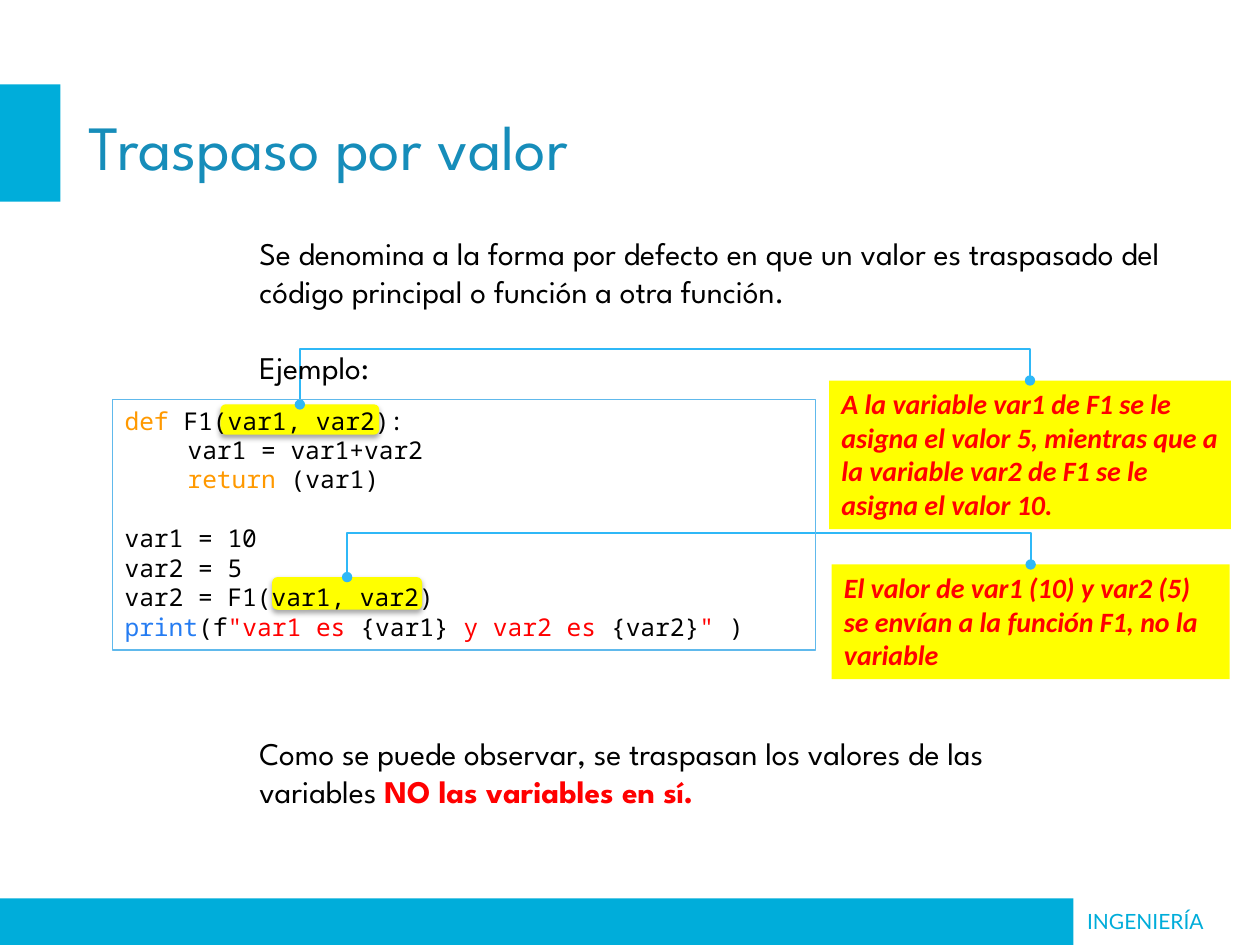
from lxml.etree import SubElement
from pptx import Presentation
from pptx.dml.color import RGBColor
from pptx.enum.shapes import MSO_CONNECTOR, MSO_SHAPE
from pptx.enum.text import MSO_ANCHOR, PP_ALIGN
from pptx.oxml import parse_xml
from pptx.oxml.ns import nsdecls, qn
from pptx.util import Inches, Pt

CYAN = RGBColor(0x00, 0xAD, 0xDA)
TEAL = RGBColor(0x16, 0x8D, 0xBA)
SKY = RGBColor(0x2F, 0xB8, 0xF7)
EDGE = RGBColor(0x60, 0xB9, 0xEC)
BLUE = RGBColor(0x25, 0x7C, 0xF2)
ORANGE = RGBColor(0xFF, 0x99, 0x00)
YELLOW = RGBColor(0xFF, 0xFF, 0x00)
RED = RGBColor(0xFF, 0x00, 0x00)
BLACK = RGBColor(0x00, 0x00, 0x00)


def add_box(kind, place, fill=None):
    shape = slide.shapes.add_shape(kind, *map(Inches, place))
    shape.shadow.inherit = False
    shape.line.fill.background()
    if fill is None:
        shape.fill.background()
    else:
        shape.fill.solid()
        shape.fill.fore_color.rgb = fill
    return shape


def write(frame, lines, font, size, anchor=MSO_ANCHOR.TOP, inset=0.05):
    """Each line is a list of (text, colour) runs."""
    frame.word_wrap = True
    frame.vertical_anchor = anchor
    frame.margin_left = frame.margin_right = Inches(0.1)
    frame.margin_top = frame.margin_bottom = Inches(inset)
    for i, line in enumerate(lines):
        para = frame.add_paragraph() if i else frame.paragraphs[0]
        para.alignment = PP_ALIGN.LEFT
        for text, color in line:
            run = para.add_run()
            run.text = text
            run.font.name = font
            run.font.size = Pt(size)
            run.font.color.rgb = color


deck = Presentation()
deck.slide_width, deck.slide_height = Inches(10), Inches(7.5)
slide = deck.slides.add_slide(deck.slide_layouts[5])

# Side and foot bands
add_box(MSO_SHAPE.RECTANGLE, (-0.02, 7.13, 8.54, 0.4), CYAN)
add_box(MSO_SHAPE.RECTANGLE, (-0.02, 0.67, 0.5, 0.93), CYAN)
foot = slide.shapes.add_textbox(*map(Inches, (8.53, 7.11, 1.47, 0.4)))
write(foot.text_frame, [[("INGENIERÍA", CYAN)]], "Lato", 12, inset=0.1)

# Title
title = slide.shapes.title
title.left, title.top, title.width, title.height = map(Inches, (0.5, 0.84, 9, 0.63))
write(title.text_frame, [[("Traspaso por valor", TEAL)]], "League Spartan", 36,
      MSO_ANCHOR.MIDDLE, 0.1)
title.text_frame.paragraphs[0]._p.get_or_add_pPr().set("marL", str(Inches(0.1)))

# Highlighted arguments, each linked to its note
notes = [
    ((2.16, 4.58, 1.19, 0.26), (6.6, 4.48, 3.16, 0.91), 4.23,
     "El valor de var1 (10) y var2 (5) se envían a la función F1, no la variable"),
    ((1.75, 3.21, 1.26, 0.24), (6.58, 3.02, 3.19, 1.18), 2.77,
     "A la variable var1 de F1 se le asigna el valor 5, mientras que a la "
     "variable var2 de F1 se le asigna el valor 10."),
]
for mark, place, peak, text in notes:
    glow = add_box(MSO_SHAPE.ROUNDED_RECTANGLE, mark, YELLOW)
    glow._element.spPr.find(qn("a:effectLst")).append(parse_xml(
        f'<a:outerShdw {nsdecls("a")} blurRad="{Pt(3.1)}" dist="{Pt(1.8)}" '
        'dir="5400000" rotWithShape="0"><a:srgbClr val="000000">'
        '<a:alpha val="35000"/></a:srgbClr></a:outerShdw>'))

    note = add_box(MSO_SHAPE.RECTANGLE, place, YELLOW)
    write(note.text_frame, [[(text, RED)]], "Calibri", 16)
    face = note.text_frame.paragraphs[0].runs[0].font
    face.bold = face.italic = True

    # Elbow from top centre to top centre, turned 270 degrees about its middle
    x1, y1 = mark[0] + mark[2] / 2, mark[1]
    x2, y2 = place[0] + place[2] / 2, place[1]
    wide, high = y1 - y2, x2 - x1
    left, top = (x1 + x2 - wide) / 2, (y1 + y2 - high) / 2
    link = slide.shapes.add_connector(
        MSO_CONNECTOR.ELBOW, Inches(left), Inches(top),
        Inches(left + wide), Inches(top + high))
    link.line.color.rgb = SKY
    link.line.width = Pt(1)
    props = link._element.spPr
    props.find(qn("a:xfrm")).set("rot", str(270 * 60000))
    bend = props.find(qn("a:prstGeom")).get_or_add_avLst()
    SubElement(bend, qn("a:gd"), name="adj1",
               fmla=f"val {round((y1 - peak) / wide * 100000)}")
    for end in ("a:headEnd", "a:tailEnd"):
        SubElement(link.line._get_or_add_ln(), qn(end), type="oval")
    SubElement(props, qn("a:effectLst"))

# Opening and closing text
intro = slide.shapes.add_textbox(*map(Inches, (1.96, 1.81, 7.79, 1.31)))
write(intro.text_frame, [
    [("Se denomina a la forma por defecto en que un valor es traspasado del "
      "código principal o función a otra función.", BLACK)],
    [("Ejemplo:", BLACK)],
], "League Spartan", 18)
intro.text_frame.paragraphs[1].space_before = Pt(21.6)

close = slide.shapes.add_textbox(*map(Inches, (1.96, 5.78, 6.25, 0.71)))
write(close.text_frame, [
    [("Como se puede observar, se traspasan los valores de las variables ", BLACK),
     ("NO las variables en sí.", RED)],
], "League Spartan", 18)
close.text_frame.paragraphs[0].runs[1].font.bold = True

# Code listing
code = add_box(MSO_SHAPE.RECTANGLE, (0.89, 3.17, 5.58, 1.99))
code.line.color.rgb = EDGE
code.line.width = Pt(0.75)
write(code.text_frame, [
    [("def ", ORANGE), ("F1(var1, var2):", BLACK)],
    [("\tvar1 = var1+var2", BLACK)],
    [("\treturn ", ORANGE), ("(var1)", BLACK)],
    [("var1 = 10", BLACK)],
    [("var2 = 5", BLACK)],
    [("var2 = F1(var1, var2)", BLACK)],
    [("print", BLUE), ("(f", BLACK), ('"var1 es ', RED), ("{var1}", BLACK),
     (" y var2 es ", RED), ("{var2}", BLACK), ('"', RED), (" )", BLACK)],
], "Noto Sans Mono", 14)
code.text_frame.paragraphs[3].space_before = Pt(16.8)

deck.save("out.pptx")
